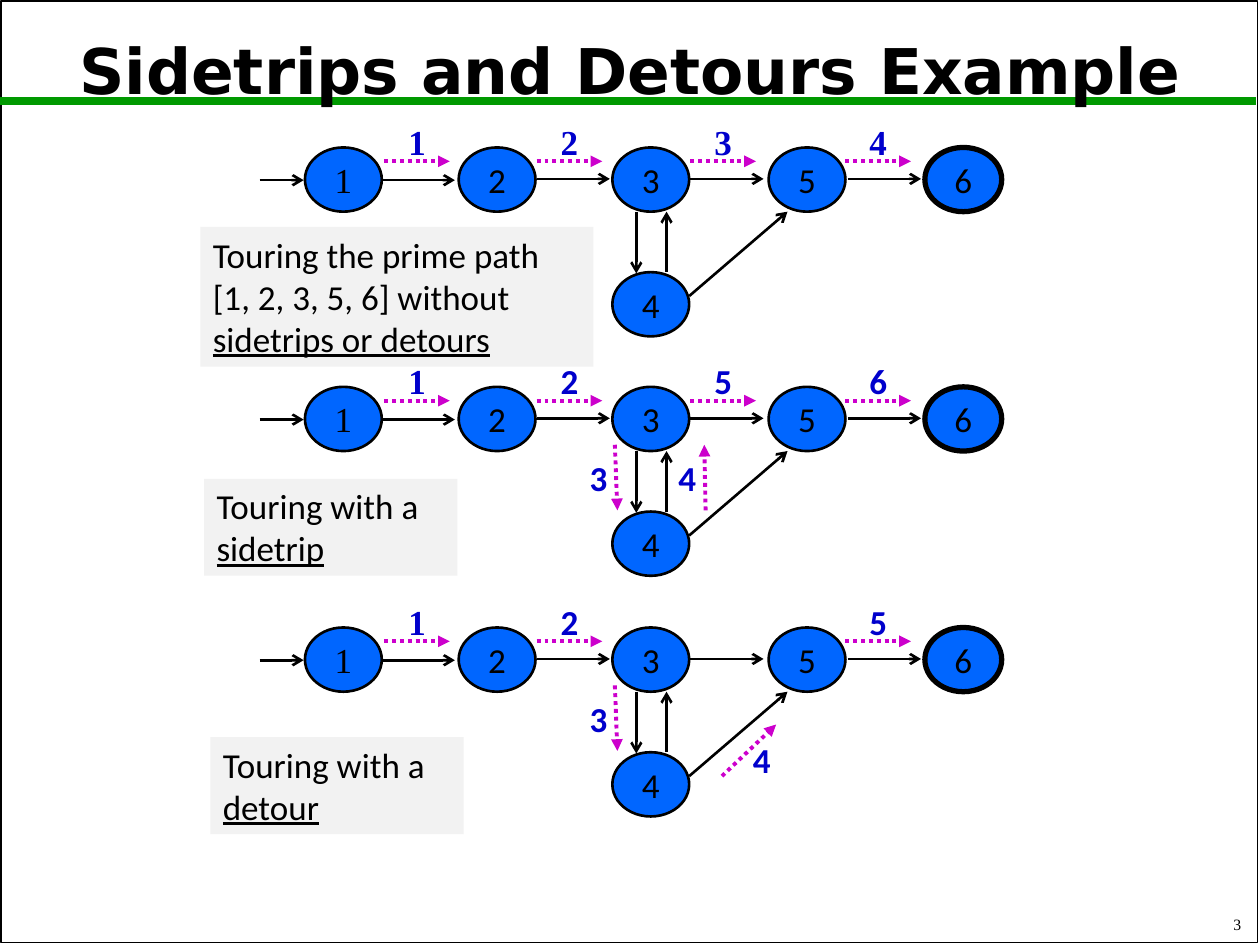
import pptx
import pptx.dml.color
import pptx.enum.dml
import pptx.enum.shapes
import pptx.enum.text
import pptx.oxml.ns
import pptx.util
from lxml import etree
from pptx.util import Inches

RGBColor = pptx.dml.color.RGBColor
Align = pptx.enum.text.PP_ALIGN
Anchor = pptx.enum.text.MSO_ANCHOR
Preset = pptx.enum.shapes.MSO_SHAPE

BLACK = RGBColor(0x00, 0x00, 0x00)
GREEN = RGBColor(0x00, 0x99, 0x00)
NODE_BLUE = RGBColor(0x00, 0x66, 0xFF)
STEP_BLUE = RGBColor(0x00, 0x00, 0xCC)
MAGENTA = RGBColor(0xCC, 0x00, 0xCC)
LIGHT_GRAY = RGBColor(0xF2, 0xF2, 0xF2)

SANS, SERIF, TITLE_FONT = "Calibri", "Times New Roman", "DejaVu Sans"

# Graph geometry, with y measured from the top of each graph's first row.
NODE_WIDTH, NODE_HEIGHT = 0.61, 0.51
NODES = {"1": (2.42, 0), "2": (3.64, 0), "3": (4.86, 0),
         "5": (6.1, 0), "6": (7.34, 0), "4": (4.86, 0.99)}
EDGES = [
    ((2.06, 0.26), (2.41, 0.26)),
    ((3.03, 0.26), (3.61, 0.26)),
    ((4.26, 0.25), (4.84, 0.25)),
    ((5.48, 0.25), (6.06, 0.25)),
    ((6.73, 0.25), (7.31, 0.25)),
    ((5.05, 0.51), (5.05, 1.0)),
    ((5.29, 0.99), (5.29, 0.51)),
    ((5.47, 1.18), (6.25, 0.51)),
]

# Tour steps: arrow start, arrow end, offset of the label from the arrow's middle.
ABOVE, LEFT, BELOW_RIGHT = (0, -0.16), (-0.14, 0), (0.1, 0.07)
STEPS = {
    "1-2": ((3.05, 0.11), (3.57, 0.11), ABOVE),
    "2-3": ((4.26, 0.11), (4.78, 0.11), ABOVE),
    "3-5": ((5.48, 0.11), (6.0, 0.11), ABOVE),
    "5-6": ((6.71, 0.11), (7.23, 0.11), ABOVE),
    "3-4": ((4.88, 0.46), (4.9, 0.98), LEFT),
    "4-3": ((5.6, 0.98), (5.59, 0.46), LEFT),
    "4-5": ((5.73, 1.18), (6.16, 0.77), BELOW_RIGHT),
}

# Graph top, tour in order, number of leading labels set in serif,
# caption box, caption start, underlined caption end.
TOURS = [
    (1.17, ["1-2", "2-3", "3-5", "5-6"], 4, (1.59, 1.8, 3.12, 1.11),
     "Touring the prime path [1, 2, 3, 5, 6] without ", "sidetrips or detours"),
    (3.07, ["1-2", "2-3", "3-4", "4-3", "3-5", "5-6"], 1, (1.62, 3.8, 2.01, 0.77),
     "Touring with a ", "sidetrip"),
    (4.98, ["1-2", "2-3", "3-4", "4-5", "5-6"], 1, (1.67, 5.85, 2.01, 0.77),
     "Touring with a ", "detour"),
]


class TourSlide:
    """The current slide and the style of its elements."""

    def __init__(self, slide):
        self.slide = slide
        self.shapes = slide.shapes

    def format_paragraph(self, paragraph, size, font, color=BLACK, bold=False,
                         align=Align.LEFT):
        paragraph.alignment = align
        paragraph.font.size = pptx.util.Pt(size)
        paragraph.font.name = font
        paragraph.font.bold = bold
        paragraph.font.color.rgb = color

    def title(self, text, box):
        title = self.shapes.title
        title.left, title.top, title.width, title.height = map(Inches, box)
        frame = title.text_frame
        frame.text = text
        frame.vertical_anchor = Anchor.MIDDLE
        frame.auto_size = pptx.enum.text.MSO_AUTO_SIZE.NONE
        paragraph = frame.paragraphs[0]
        paragraph.line_spacing = 0.9
        self.format_paragraph(paragraph, 36, TITLE_FONT, bold=True, align=Align.CENTER)
        # The title's descenders stay in front of the rule.
        title._element.getparent().append(title._element)

    def shape(self, preset, box, fill=None, line_width=None):
        shape = self.shapes.add_shape(preset, *map(Inches, box))
        shape.shadow.inherit = False
        if fill is None:
            shape.fill.background()
        else:
            shape.fill.solid()
            shape.fill.fore_color.rgb = fill
        if line_width is None:
            shape.line.fill.background()
        else:
            shape.line.color.rgb = BLACK
            shape.line.width = pptx.util.Pt(line_width)
        return shape

    def line(self, start, end, color=BLACK, width=1.5, head=None, dotted=False):
        connector = self.shapes.add_connector(
            pptx.enum.shapes.MSO_CONNECTOR.STRAIGHT, *map(Inches, (*start, *end)))
        connector.line.color.rgb = color
        connector.line.width = pptx.util.Pt(width)
        if dotted:
            connector.line.dash_style = pptx.enum.dml.MSO_LINE.ROUND_DOT
        properties = connector._element.spPr
        if head:
            outline = properties.find(pptx.oxml.ns.qn("a:ln"))
            etree.SubElement(outline, pptx.oxml.ns.qn("a:tailEnd"), type=head)
        etree.SubElement(properties, pptx.oxml.ns.qn("a:effectLst"))

    def text(self, text, box, size, font, color=BLACK, bold=False,
             align=Align.CENTER, anchor=Anchor.TOP):
        frame = self.shapes.add_textbox(*map(Inches, box)).text_frame
        frame.word_wrap = True
        frame.vertical_anchor = anchor
        frame.text = text
        self.format_paragraph(frame.paragraphs[0], size, font, color, bold, align)

    def node(self, name, left, top):
        node = self.shape(Preset.OVAL, (left, top, NODE_WIDTH, NODE_HEIGHT), NODE_BLUE,
                          line_width=3 if name == "6" else 1.5)
        frame = node.text_frame
        frame.margin_left = frame.margin_right = 0
        frame.margin_top = frame.margin_bottom = 0
        frame.word_wrap = False
        frame.vertical_anchor = Anchor.MIDDLE
        frame.text = name
        self.format_paragraph(frame.paragraphs[0], 20, SERIF if name == "1" else SANS,
                              align=Align.CENTER)

    def graph(self, top):
        for name, (left, y) in NODES.items():
            self.node(name, left, top + y)
        for (x1, y1), (x2, y2) in EDGES:
            self.line((x1, top + y1), (x2, top + y2), head="arrow")

    def step(self, label, font, top, step):
        """Draw one numbered dotted arrow of a tour."""
        (x1, y1), (x2, y2), (dx, dy) = STEPS[step]
        self.line((x1, top + y1), (x2, top + y2), MAGENTA, 2.25, "triangle", dotted=True)
        width, height = 0.39, 0.43
        left = (x1 + x2 - width) / 2 + dx
        label_top = top + (y1 + y2 - height) / 2 + dy
        self.text(label, (left, label_top, width, height), 20, font, STEP_BLUE, bold=True)

    def caption(self, box, start, underlined):
        frame = self.shape(Preset.RECTANGLE, box, LIGHT_GRAY).text_frame
        frame.word_wrap = True
        frame.vertical_anchor = Anchor.TOP
        paragraph = frame.paragraphs[0]
        self.format_paragraph(paragraph, 20, SANS)
        paragraph.add_run().text = start
        ending = paragraph.add_run()
        ending.text = underlined
        ending.font.underline = True


def main():
    presentation = pptx.Presentation()
    presentation.slide_width = Inches(10)
    presentation.slide_height = Inches(7.5)
    title_only = presentation.slide_layouts[5]
    page = TourSlide(presentation.slides.add_slide(title_only))

    page.shape(Preset.RECTANGLE, (0.01, 0.01, 9.97, 7.47), line_width=1)
    page.line((0, 0.8), (9.97, 0.8), GREEN, 4.5)
    page.text("3", (7.87, 7.17, 2.08, 0.29), 9, SERIF, align=Align.RIGHT,
              anchor=Anchor.BOTTOM)
    page.title("Sidetrips and Detours Example", (0.05, 0.11, 9.9, 0.95))

    for top, tour, serif_count, box, start, underlined in TOURS:
        page.graph(top)
        page.caption(box, start, underlined)
        for number, step in enumerate(tour, 1):
            page.step(str(number), SERIF if number <= serif_count else SANS, top, step)

    presentation.save("out.pptx")


if __name__ == "__main__":
    main()
